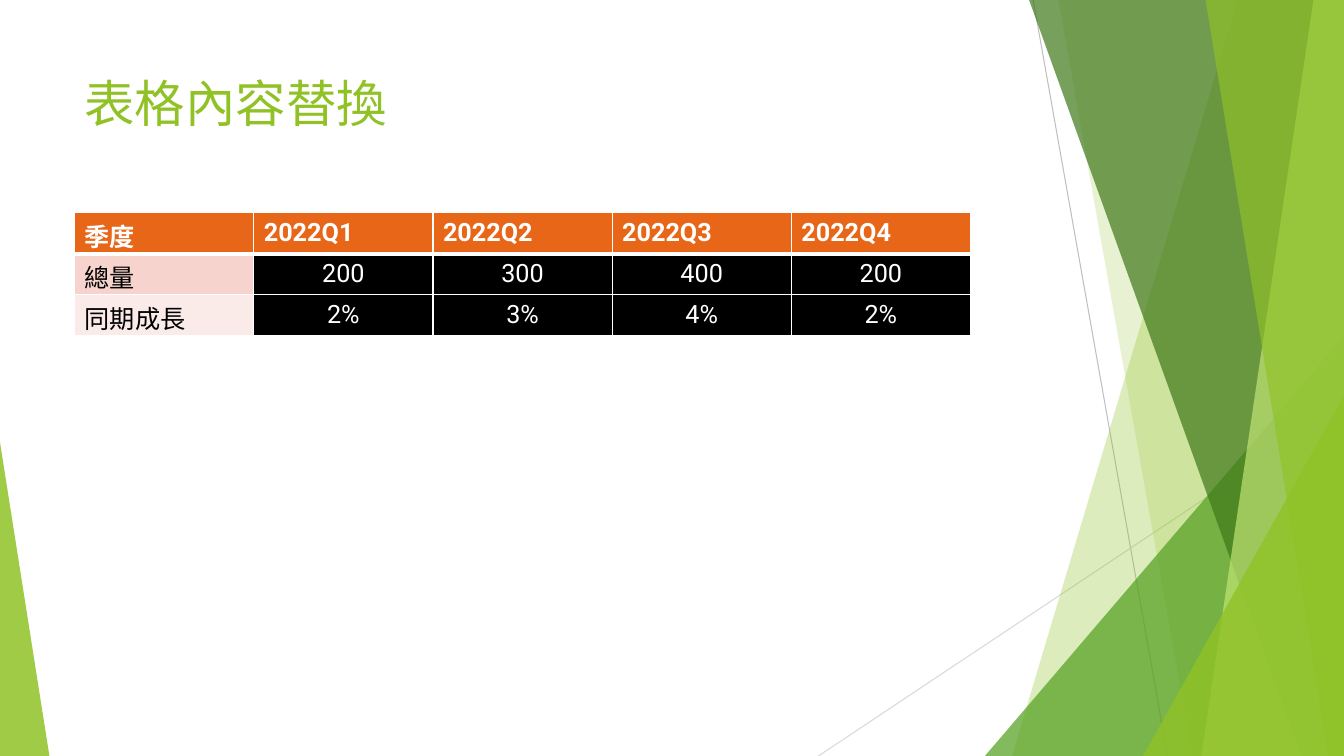
import pptx
import pptx.dml.color
import pptx.enum.shapes
import pptx.enum.text
import pptx.oxml
import pptx.oxml.ns
import pptx.util
from lxml import etree

Pt = pptx.util.Pt
qn = pptx.oxml.ns.qn
WIDTH, HEIGHT = 960, 540
FONT = "Roboto"
GREEN = "90C226"


def paint(fill, color, opacity=100):
    fill.solid()
    fill.fore_color.rgb = pptx.dml.color.RGBColor.from_string(color)
    if opacity < 100:
        rgb = fill._xPr.find(".//" + qn("a:srgbClr"))
        etree.SubElement(rgb, qn("a:alpha"), val=str(opacity * 1000))


def write(frame, text, color, size, bold=False, align="LEFT"):
    para = frame.paragraphs[0]
    para.alignment = pptx.enum.text.PP_ALIGN[align]
    span = para.add_run()
    span.text = text
    for name, value in {"name": FONT, "size": Pt(size), "bold": bold}.items():
        setattr(span.font, name, value)
    paint(span.font.fill, color)


deck = pptx.Presentation()
deck.slide_width, deck.slide_height = Pt(WIDTH), Pt(HEIGHT)
page = deck.slides.add_slide(deck.slide_layouts[6])

# Thin crossing lines
for color, *ends in [("BFBFBF", 738, 0, 834, HEIGHT),
                     ("D9D9D9", WIDTH, 290, 584.6, HEIGHT)]:
    line = page.shapes.add_connector(
        pptx.enum.shapes.MSO_CONNECTOR.STRAIGHT, *map(Pt, ends))
    line.line.width = Pt(0.75)
    paint(line.line.fill, color)
    etree.SubElement(line._element.spPr, qn("a:effectLst"))

# Translucent facets, back to front
# band: top x, bottom x; triangle: left, top, width, apex position
facets = [
    ("band", (884.2, 722.9), GREEN, 30),
    ("band", (756, 851.8), GREEN, 20),
    ("triangle", (703.5, 240, 256.5, 1), "54A021", 72),
    ("band", (735.1, 929.5), "3F7819", 70),
    ("band", (938.2, 858.2), "C0E474", 70),
    ("band", (861.1, 949), GREEN, 65),
    ("triangle", (816.5, 283, 143.5, 1), GREEN, 80),
    ("triangle", (0, 316, 35.3, 0), GREEN, 85),
]
for kind, place, color, opacity in facets:
    if kind == "band":
        top_x, bottom_x = place
        outline = page.shapes.build_freeform(Pt(top_x), 0)
        outline.add_line_segments(
            [(Pt(x), Pt(y)) for x, y in
             [(WIDTH, 0), (WIDTH, HEIGHT), (bottom_x, HEIGHT)]])
        facet = outline.convert_to_shape()
    else:
        left, top, width, apex = place
        facet = page.shapes.add_shape(
            pptx.enum.shapes.MSO_SHAPE.ISOSCELES_TRIANGLE,
            Pt(left), Pt(top), Pt(width), Pt(HEIGHT - top))
        facet.adjustments[0] = apex
    paint(facet.fill, color, opacity)
    facet.line.fill.background()
    facet.shadow.inherit = False

# Title
box = page.shapes.add_textbox(Pt(53.3), Pt(48.2), Pt(676.8), Pt(103.7))
box.text_frame.word_wrap = True
write(box.text_frame, "表格內容替換", GREEN, 36)

# Quarterly table
rows = [
    ["季度", "2022Q1", "2022Q2", "2022Q3", "2022Q4"],
    ["總量", "200", "300", "400", "200"],
    ["同期成長", "2%", "3%", "4%", "2%"],
]
label_fills = ["E76618", "F6D3CC", "FAEAE8"]
table = page.shapes.add_table(
    len(rows), len(rows[0]), Pt(53.3), Pt(151.9), Pt(640), Pt(87.9)).table
for row_number, texts in enumerate(rows):
    header = row_number == 0
    for column_number, text in enumerate(texts):
        cell = table.cell(row_number, column_number)
        label = column_number == 0
        if header or label:
            paint(cell.fill, label_fills[row_number])
        else:
            paint(cell.fill, "000000")
        write(cell.text_frame, text,
              "000000" if label and not header else "FFFFFF", 18, header,
              "LEFT" if header or label else "CENTER")

        # White borders, thicker between header and body
        widths = {"lnL": 1, "lnR": 1, "lnT": 3 if row_number == 1 else 1,
                  "lnB": 3 if header else 1}
        for position, (side, width) in enumerate(widths.items()):
            border = pptx.oxml.parse_xml(
                f'<a:{side} {pptx.oxml.ns.nsdecls("a")} w="{Pt(width)}">'
                '<a:solidFill><a:srgbClr val="FFFFFF"/></a:solidFill>'
                f'</a:{side}>')
            cell._tc.get_or_add_tcPr().insert(position, border)

deck.save("out.pptx")
